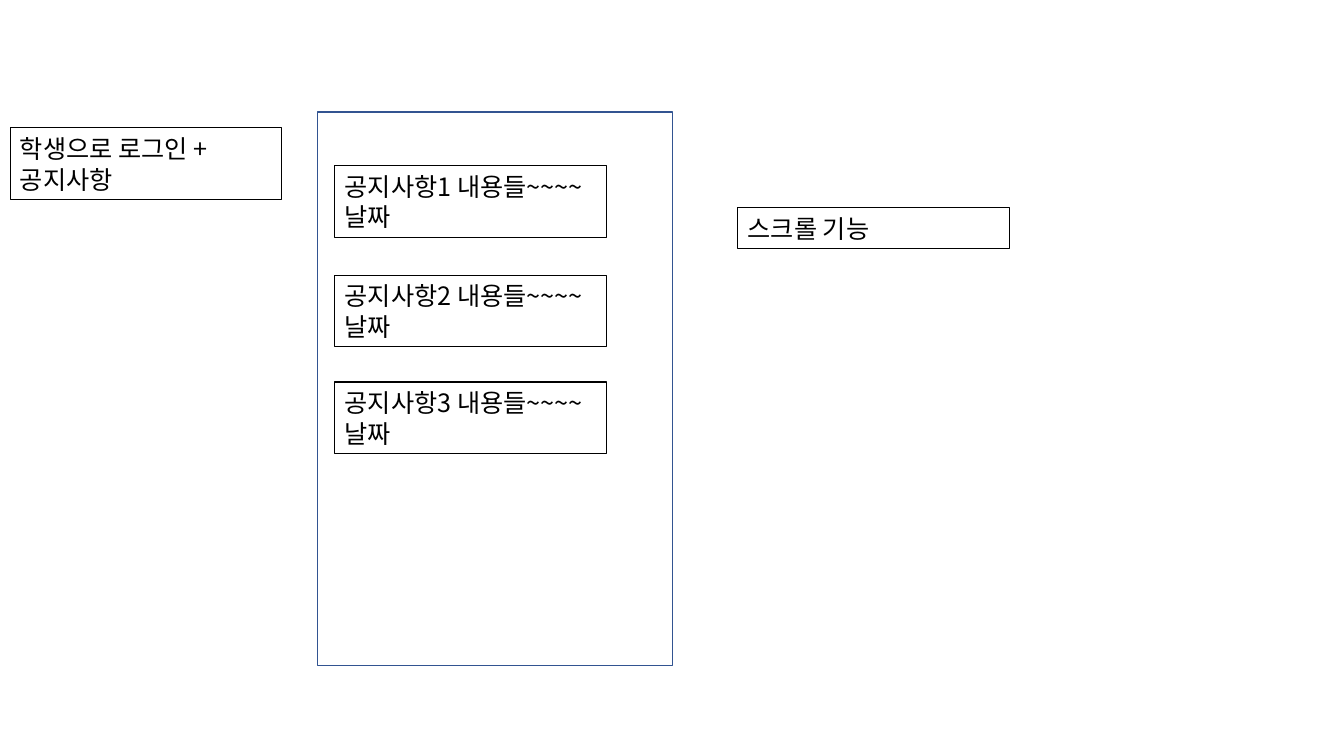
from dataclasses import dataclass

from lxml import etree
from pptx import Presentation
from pptx.dml.color import RGBColor
from pptx.enum.shapes import MSO_SHAPE
from pptx.enum.text import MSO_ANCHOR, MSO_AUTO_SIZE, PP_ALIGN
from pptx.oxml.ns import qn
from pptx.shapes.autoshape import Shape
from pptx.slide import Slide
from pptx.util import Pt

RECTANGLE = MSO_SHAPE.RECTANGLE
TOP = MSO_ANCHOR.TOP
LEFT = PP_ALIGN.LEFT
GROW = MSO_AUTO_SIZE.SHAPE_TO_FIT_TEXT

COLORS = {"paper": "FFFFFF", "frame": "325491", "ink": "000000"}
FONT = "Noto Sans CJK KR"
FONT_SIZE = 18
LINE_HEIGHT = 22
LABEL_WIDTH = 193.9
NOTICE_LEFT = 239.2
NOTICE_TOPS = (118.2, 196.6, 272.9)


@dataclass
class Label:
    text: str
    left: float
    top: float
    lines: int = 2

    @property
    def height(self) -> float:
        return self.lines * LINE_HEIGHT + 7.2


def color(name: str) -> RGBColor:
    return RGBColor.from_string(COLORS[name])


def add_rectangle(slide: Slide, left: float, top: float, width: float,
                  height: float, line: str, weight: float) -> Shape:
    shape = slide.shapes.add_shape(
        RECTANGLE, Pt(left), Pt(top), Pt(width), Pt(height))
    shape.shadow.inherit = False
    shape.line.color.rgb = color(line)
    shape.line.width = Pt(weight)
    return shape


def add_label(slide: Slide, label: Label) -> None:
    shape = add_rectangle(slide, label.left, label.top, LABEL_WIDTH,
                          label.height, "ink", 0.75)
    shape.fill.background()
    frame = shape.text_frame
    frame.word_wrap = True
    frame.auto_size = GROW
    frame.vertical_anchor = TOP
    paragraph = frame.paragraphs[0]
    paragraph.alignment = LEFT
    paragraph.line_spacing = Pt(LINE_HEIGHT)
    run = paragraph.add_run()
    run.text = label.text
    run.font.name = FONT
    run.font.size = Pt(FONT_SIZE)
    run.font.color.rgb = color("ink")
    # Hangul takes the East Asian typeface
    etree.SubElement(run.font._element, qn("a:ea"), typeface=FONT)


def main() -> None:
    presentation = Presentation()
    presentation.slide_width = Pt(960)
    presentation.slide_height = Pt(540)
    slide = presentation.slides.add_slide(presentation.slide_layouts[6])

    # Screen frame
    screen = add_rectangle(slide, 226.8, 80, 253.4, 395.3, "frame", 1)
    screen.fill.solid()
    screen.fill.fore_color.rgb = color("paper")

    # Notices inside the screen, then the remarks beside it
    labels = [Label(f"공지사항{number} 내용들~~~~ 날짜", NOTICE_LEFT, top)
              for number, top in enumerate(NOTICE_TOPS, start=1)]
    labels.append(Label("학생으로 로그인 + 공지사항", 7.2, 91.4))
    labels.append(Label("스크롤 기능", 527, 148.3, lines=1))
    for label in labels:
        add_label(slide, label)

    presentation.save("out.pptx")


if __name__ == "__main__":
    main()
